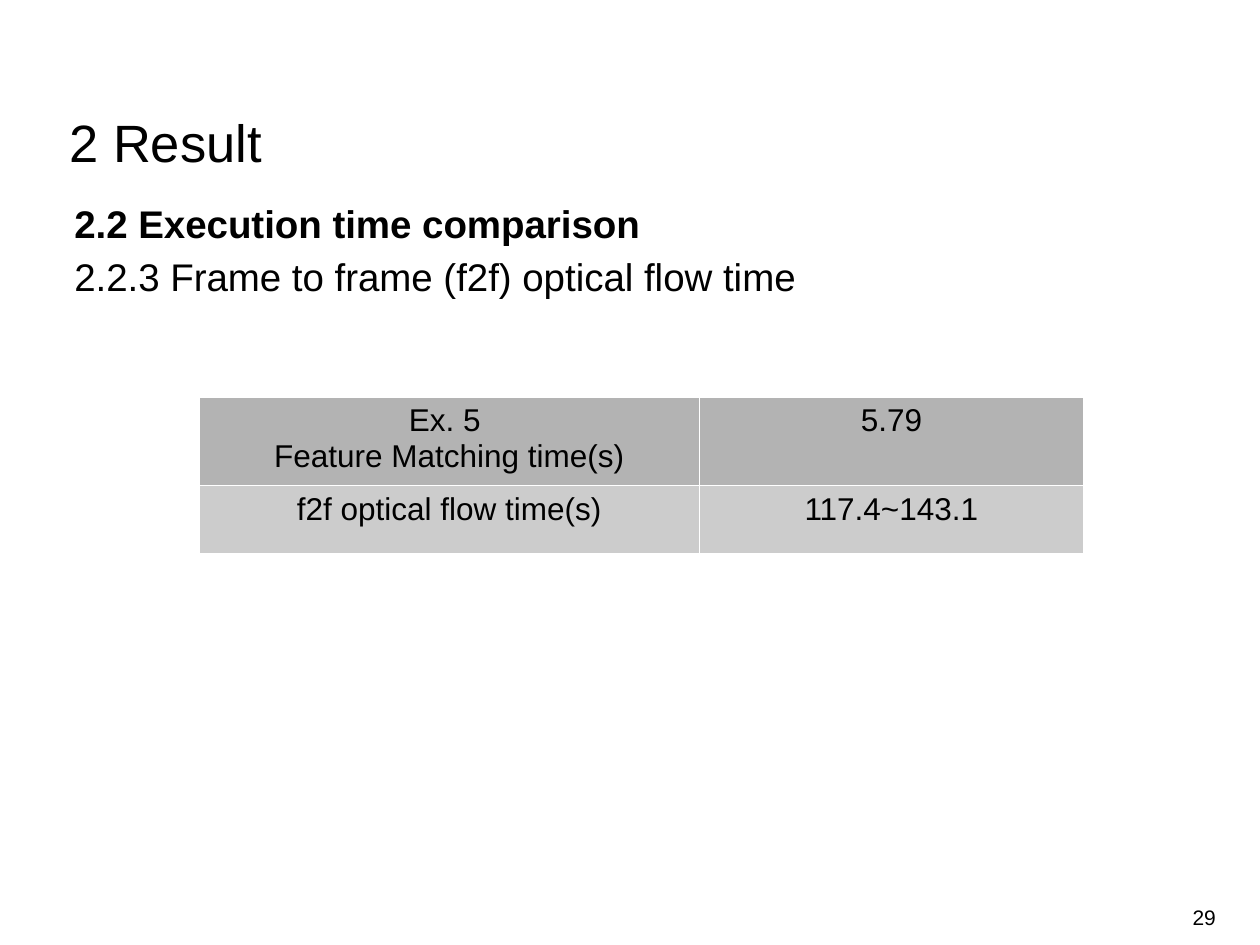
from lxml.etree import SubElement as Sub
from pptx import Presentation
from pptx.dml.color import RGBColor
from pptx.enum.text import MSO_ANCHOR as Anchor, PP_ALIGN as Align
from pptx.oxml.ns import qn
from pptx.util import Inches, Pt

WIDE, HIGH = 10, 7.5
BLACK, WHITE = "000000", "FFFFFF"
ROWS = [
    ("B3B3B3", ["Ex. 5 \nFeature Matching time(s)", "5.79"]),
    ("CCCCCC", ["f2f optical flow time(s)", "117.4~143.1"]),
]


def color(code):
    return RGBColor.from_string(code)


def place(shape, box):
    shape.left, shape.top, shape.width, shape.height = map(Inches, box)


def style(frame, size, align=Align.LEFT, gap=None):
    for para in frame.paragraphs:
        para.alignment = align
        para.line_spacing = gap
        for run in para.runs:
            font = run.font
            font.name, font.size, font.bold = "Arial", Pt(size), False
            font.color.rgb = color(BLACK)


def inset(frame, side, end):
    frame.margin_left = frame.margin_right = Inches(side)
    frame.margin_top = frame.margin_bottom = Inches(end)
    frame.word_wrap = True


def add_title(slide, box):
    title = slide.shapes.title
    place(title, box)
    frame = title.text_frame
    frame.text = "2 Result"
    frame.vertical_anchor = Anchor.TOP
    inset(frame, 0, 0)
    style(frame, 30, gap=Pt(32))


def add_text(slide, box, text, size, **look):
    frame = slide.shapes.add_textbox(*map(Inches, box)).text_frame
    frame.text = text
    style(frame, size, **look)
    return frame


def add_body(slide, box):
    text = "2.2 Execution time comparison\n2.2.3 Frame to frame (f2f) optical flow time"
    frame = add_text(slide, box, text, 22, gap=1.14)
    inset(frame, 0, 0)
    frame.paragraphs[0].runs[0].font.bold = True


def add_page(slide, box):
    frame = add_text(slide, box, "29", 12, align=Align.RIGHT)
    inset(frame, 0, 0.05)
    frame.vertical_anchor = Anchor.MIDDLE


def add_edges(cell):
    # Borders come before the fill in the cell properties
    props = cell._tc.get_or_add_tcPr()
    for side in ("lnL", "lnR", "lnT", "lnB"):
        line = Sub(props, qn("a:" + side), w=str(Pt(0.06)))
        fill = Sub(line, qn("a:solidFill"))
        Sub(fill, qn("a:srgbClr"), val=WHITE)


def add_times(slide, box, wides, highs):
    grid = slide.shapes.add_table(len(highs), len(wides), *map(Inches, box)).table
    for col, wide in zip(grid.columns, wides):
        col.width = Inches(wide)
    for row, high, (shade, texts) in zip(grid.rows, highs, ROWS):
        row.height = Inches(high)
        for cell, text in zip(row.cells, texts):
            cell.text_frame.text = text
            style(cell.text_frame, 18, Align.CENTER)
            add_edges(cell)
            cell.fill.solid()
            cell.fill.fore_color.rgb = color(shade)


def main():
    deck = Presentation()
    deck.slide_width, deck.slide_height = Inches(WIDE), Inches(HIGH)
    slide = deck.slides.add_slide(deck.slide_layouts[5])

    # Heading and section text
    add_title(slide, (0.55, 0.93, 6.85, 0.45))
    add_body(slide, (0.59, 1.54, 8.85, 4.87))

    # Timing table
    add_times(slide, (1.58, 3.15, 7.03, 1.2), (3.97, 3.05), (0.66, 0.54))

    # Page number
    add_page(slide, (7.41, 7.08, 2.24, 0.4))
    deck.save("out.pptx")


if __name__ == "__main__":
    main()
